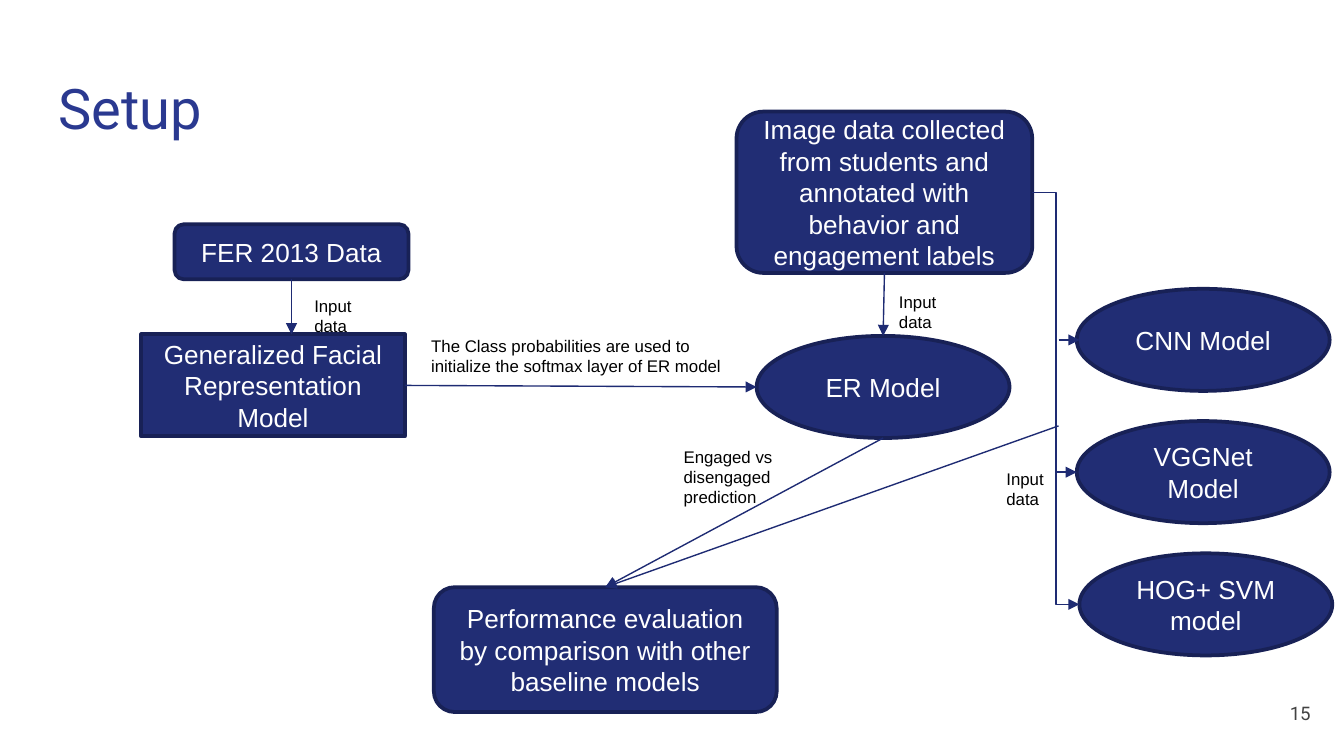
from pptx import Presentation
from pptx.dml.color import RGBColor
from pptx.enum.dml import MSO_LINE
from pptx.enum.shapes import MSO_CONNECTOR, MSO_SHAPE
from pptx.enum.text import MSO_ANCHOR, MSO_AUTO_SIZE, PP_ALIGN
from pptx.oxml.ns import qn
from pptx.util import Cm, Pt
from lxml import etree

RECTANGLE, ROUNDED, OVAL = MSO_SHAPE.RECTANGLE, MSO_SHAPE.ROUNDED_RECTANGLE, MSO_SHAPE.OVAL
STRAIGHT, ELBOW = MSO_CONNECTOR.STRAIGHT, MSO_CONNECTOR.ELBOW
SOLID = MSO_LINE.SOLID
TOP, MIDDLE = MSO_ANCHOR.TOP, MSO_ANCHOR.MIDDLE
LEFT, CENTER, RIGHT = PP_ALIGN.LEFT, PP_ALIGN.CENTER, PP_ALIGN.RIGHT
NO_FIT, GROW = MSO_AUTO_SIZE.NONE, MSO_AUTO_SIZE.SHAPE_TO_FIT_TEXT

NODE_FILL, NODE_LINE, ARROW_LINE = "212D74", "182156", "1E2B73"
MODEL_SIZE = (4.78, 1.93)

# Text formats: font, size, colour, alignment and frame settings
NODE_TEXT = {"font": "Arial", "size": 14, "color": "FFFFFF", "align": CENTER,
             "frame": {"vertical_anchor": MIDDLE, "word_wrap": True}}
LABEL_TEXT = {"font": "Arial", "size": 9, "color": "000000", "align": LEFT,
              "frame": {"vertical_anchor": TOP, "word_wrap": True, "auto_size": GROW}}
EVEN_MARGINS = {f"margin_{side}": Cm(0.25) for side in ("left", "top", "right", "bottom")}
TITLE_TEXT = {"font": "Roboto", "size": 30, "color": "2A3990", "align": LEFT,
              "frame": {"vertical_anchor": TOP, "word_wrap": True,
                        "auto_size": NO_FIT, **EVEN_MARGINS}}
NUMBER_TEXT = {"font": "Roboto", "size": 10, "color": "434343", "align": RIGHT,
               "frame": {"vertical_anchor": MIDDLE, "word_wrap": True, **EVEN_MARGINS}}


def rgb(hex_color):
    return RGBColor.from_string(hex_color)


def write_text(shape, text, style):
    frame = shape.text_frame
    for name, value in style["frame"].items():
        setattr(frame, name, value)
    paragraph = frame.paragraphs[0]
    paragraph.alignment = style["align"]
    run = paragraph.add_run()
    run.text = text
    font_values = {"name": style["font"], "size": Pt(style["size"]), "bold": False}
    for name, value in font_values.items():
        setattr(run.font, name, value)
    run.font.color.rgb = rgb(style["color"])


def add_node(slide, kind, text, left, top, width, height):
    shape = slide.shapes.add_shape(kind, Cm(left), Cm(top), Cm(width), Cm(height))
    shape.shadow.inherit = False
    shape.fill.solid()
    shape.fill.fore_color.rgb = rgb(NODE_FILL)
    shape.line.color.rgb = rgb(NODE_LINE)
    shape.line.width = Pt(2)
    write_text(shape, text, NODE_TEXT)
    return shape


def add_label(slide, text, left, top, width=1.63, height=0.53, style=LABEL_TEXT):
    box = slide.shapes.add_textbox(Cm(left), Cm(top), Cm(width), Cm(height))
    write_text(box, text, style)


def anchor(shape, side):
    """Return the middle point of one side of a shape."""
    center_x = shape.left + shape.width // 2
    center_y = shape.top + shape.height // 2
    return {"top": (center_x, shape.top),
            "bottom": (center_x, shape.top + shape.height),
            "left": (shape.left, center_y),
            "right": (shape.left + shape.width, center_y)}[side]


def add_arrow(slide, start, end, kind=STRAIGHT):
    arrow = slide.shapes.add_connector(kind, *start, *end)
    arrow.line.color.rgb = rgb(ARROW_LINE)
    arrow.line.width = Pt(0.75)
    arrow.line.dash_style = SOLID
    properties = arrow.line._get_or_add_ln()
    etree.SubElement(properties, qn("a:tailEnd"), type="triangle")
    etree.SubElement(arrow._element.spPr, qn("a:effectLst"))


def add_title(slide, text, left, top, width, height):
    title = slide.shapes.title
    box = {"left": left, "top": top, "width": width, "height": height}
    for name, value in box.items():
        setattr(title, name, Cm(value))
    write_text(title, text, TITLE_TEXT)


def add_representation(slide, left, top):
    """Training data above the facial representation model."""
    data = add_node(slide, ROUNDED, "FER 2013 Data", left + 0.63, top, 4.42, 1.04)
    model = add_node(slide, RECTANGLE, "Generalized Facial Representation Model",
                     left, top + 2.08, 4.98, 1.93)
    start = anchor(data, "bottom")
    add_arrow(slide, start, (start[0], model.top))
    add_label(slide, "Input data", left + 3.02, top + 1.22)
    return model


def add_engagement(slide, left, top):
    """Student image data above the ER model."""
    data = add_node(slide, ROUNDED, "Image data collected from students and annotated "
                    "with behavior and engagement labels", left, top, 5.59, 3.05)
    model = add_node(slide, OVAL, "ER Model", left + 0.38, top + 4.24, *MODEL_SIZE)
    add_arrow(slide, anchor(data, "bottom"), anchor(model, "top"))
    add_label(slide, "Input data", left + 2.82, top + 3.27)
    return data, model


def add_baselines(slide, data, left, top):
    """Three baseline models fed from one bent line; returns the line's x."""
    models = [add_node(slide, OVAL, text, left + shift, top + row * 2.5, *MODEL_SIZE)
              for row, (text, shift) in enumerate(
                  [("CNN Model", 0), ("VGGNet Model", 0), ("HOG+ SVM model", 0.05)])]
    source, last = anchor(data, "right"), anchor(models[-1], "left")
    add_arrow(slide, source, last, ELBOW)
    bus_x = (source[0] + last[0]) // 2
    for model, shift in zip(models, (Cm(0.05), 0)):
        x, y = anchor(model, "left")
        add_arrow(slide, (bus_x + shift, y), (x + shift, y))
    add_label(slide, "Input data", left - 1.58, top + 3.28)
    return bus_x


def add_evaluation(slide, sources, left, top):
    """Final comparison, reached by an arrow from each source point."""
    evaluation = add_node(slide, ROUNDED, "Performance evaluation by comparison with "
                          "other baseline models", left, top, 6.48, 2.36)
    for source in sources:
        add_arrow(slide, source, anchor(evaluation, "top"))
    add_label(slide, "Engaged vs disengaged prediction", left + 4.47, top - 2.79, 2.64, 1.42)


def main():
    presentation = Presentation()
    presentation.slide_width, presentation.slide_height = Cm(25.4), Cm(14.29)
    slide = presentation.slides.add_slide(presentation.slide_layouts[5])

    # Title and slide number
    add_title(slide, "Setup", 0.86, 1.14, 23.67, 1.68)
    add_label(slide, "15", 23.5, 12.93, 1.52, 1.09, NUMBER_TEXT)

    # Models and their input data
    representation = add_representation(slide, 2.67, 4.24)
    data, er_model = add_engagement(slide, 13.92, 2.11)
    bus_x = add_baselines(slide, data, 20.35, 5.46)

    # Link between the two models
    add_arrow(slide, anchor(representation, "right"), anchor(er_model, "left"))
    add_label(slide, "The Class probabilities are used to initialize the softmax layer "
              "of ER model", 7.9, 6.22, 5.99, 1.02)

    # Evaluation of the ER model against the baselines
    baseline_point = (bus_x + Cm(0.05), Cm(8.05))
    add_evaluation(slide, [anchor(er_model, "bottom"), baseline_point], 8.2, 11.1)

    presentation.save("out.pptx")


if __name__ == "__main__":
    main()
